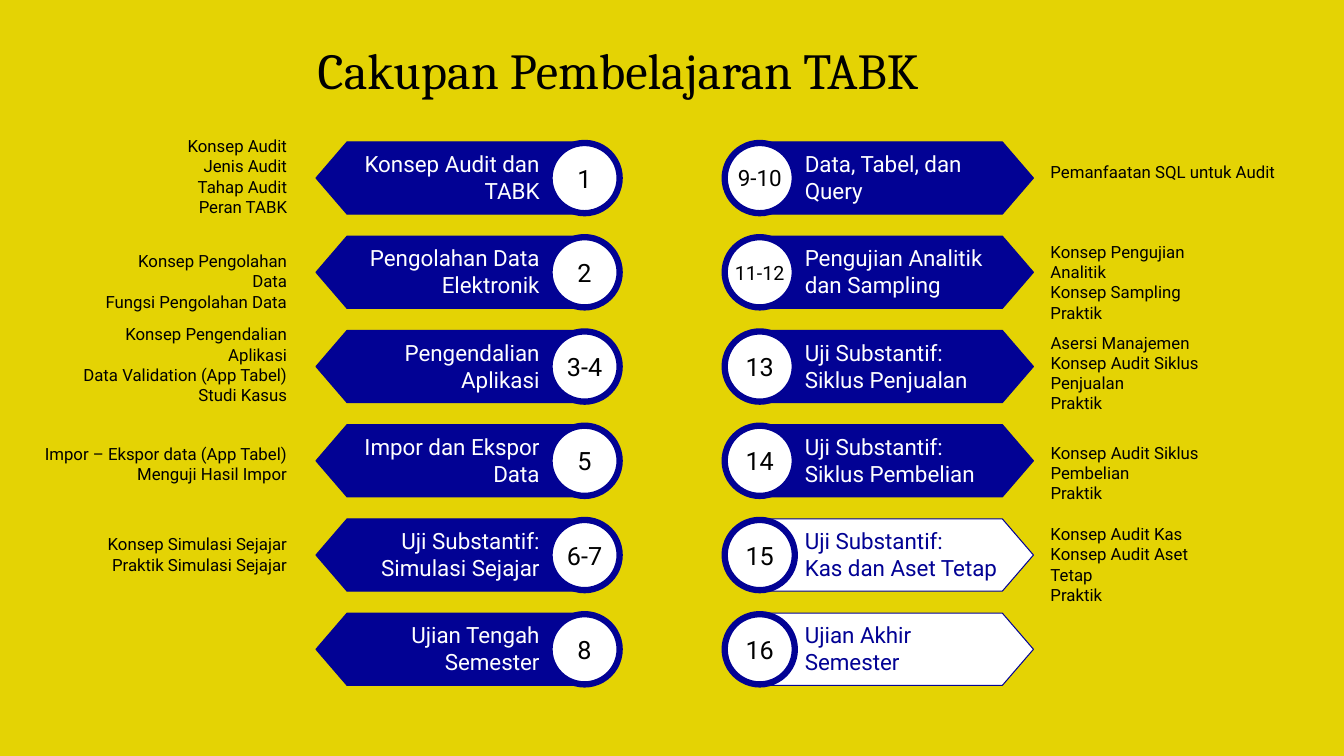
import pptx
import pptx.util
import pptx.dml.color
import pptx.enum.shapes
import pptx.enum.text

deck = pptx.Presentation()
deck.slide_width = pptx.util.Inches(13.33)
deck.slide_height = pptx.util.Inches(7.5)
cell = deck.slide_height / 90
slide = deck.slides.add_slide(deck.slide_layouts[5])

navy, white, black, gold = "020294", "FFFFFF", "000000", "E4D304"
kind = pptx.enum.shapes.MSO_SHAPE
align = pptx.enum.text.PP_ALIGN
anchor = pptx.enum.text.MSO_ANCHOR


def paint(part, color):
    if hasattr(part, "solid"):
        part.solid()
        part = part.fore_color
    part.rgb = pptx.dml.color.RGBColor.from_string(color)


def write(shape, lines, size, color, side, font="Roboto"):
    frame = shape.text_frame
    frame.word_wrap = True
    for n, line in enumerate(lines):
        para = frame.add_paragraph() if n else frame.paragraphs[0]
        para.alignment = side
        run = para.add_run()
        run.text = line
        run.font.name = font
        run.font.size = pptx.util.Pt(size)
        paint(run.font.color, color)


paint(slide.background.fill, gold)

title = slide.shapes.title
title.left, title.top, title.width, title.height = [
    round(n * cell) for n in (36.6, 4, 86.4, 8.5)]
title.text_frame.vertical_anchor = anchor.TOP
write(title, ["Cakupan Pembelajaran TABK"], 36, black, align.LEFT, "Cambria")

left = [
    ("1", 18, ["Konsep Audit dan TABK"], 15.6, 16,
     ["Konsep Audit", "Jenis Audit", "Tahap Audit", "Peran TABK"]),
    ("2", 18, ["Pengolahan Data Elektronik"], 29.3, 24.4,
     ["Konsep Pengolahan Data", "Fungsi Pengolahan Data"]),
    ("3-4", 18, ["Pengendalian Aplikasi"], 38, 28,
     ["Konsep Pengendalian Aplikasi", "Data Validation (App Tabel)", "Studi Kasus"]),
    ("5", 18, ["Impor dan Ekspor Data"], 52.2, 34.7,
     ["Impor – Ekspor data (App Tabel)", "Menguji Hasil Impor"]),
    ("6-7", 18, ["Uji Substantif:", "Simulasi Sejajar"], 63, 34.7,
     ["Konsep Simulasi Sejajar", "Praktik Simulasi Sejajar"]),
    ("8", 18, ["Ujian Tengah Semester"], 0, 0, []),
]
right = [
    ("9-10", 16, ["Data, Tabel, dan Query"], 18.7, 30,
     ["Pemanfaatan SQL untuk Audit"]),
    ("11-12", 14, ["Pengujian Analitik dan Sampling"], 28.2, 24.5,
     ["Konsep Pengujian Analitik", "Konsep Sampling", "Praktik"]),
    ("13", 18, ["Uji Substantif:", "Siklus Penjualan"], 39, 27,
     ["Asersi Manajemen", "Konsep Audit Siklus Penjualan", "Praktik"]),
    ("14", 18, ["Uji Substantif:", "Siklus Pembelian"], 52.1, 27,
     ["Konsep Audit Siklus Pembelian", "Praktik"]),
    ("15", 18, ["Uji Substantif:", "Kas dan Aset Tetap"], 61.8, 23,
     ["Konsep Audit Kas", "Konsep Audit Aset Tetap", "Praktik"]),
    ("16", 18, ["Ujian Akhir Semester"], 0, 0, []),
]
sides = [
    (left, align.RIGHT, 37.6, 65.4, 39.1, 35.35, 6),
    (right, align.LEFT, 86.9, 86.25, 94.6, 123.85, 4),
]

for weeks, side, bar_x, disc_x, name_x, note_x, done in sides:
    for row, (week, size, name, note_y, wide, notes) in enumerate(weeks):
        top = 16.9 + 11.22 * row
        fill, ink = (navy, white) if row < done else (white, navy)

        parts = []
        for form, x, y, w, h, tint, line in [
            (kind.HEXAGON, bar_x, top, 36.1, 8.6, fill, 0.75),
            (kind.OVAL, disc_x, top + 0.12, 8.35, 8.36, white, 4.5),
        ]:
            part = slide.shapes.add_shape(
                form, *[round(n * cell) for n in (x, y, w, h)])
            part.shadow.inherit = False
            paint(part.fill, tint)
            paint(part.line.fill, navy)
            part.line.width = pptx.util.Pt(line)
            parts.append(part)
        bar, disc = parts
        bar.adjustments[0] = 0.43

        write(disc, [week], size, black, align.CENTER)
        frame = disc.text_frame
        frame.word_wrap = False
        frame.vertical_anchor = anchor.MIDDLE
        frame.margin_left = frame.margin_right = 0

        label = slide.shapes.add_textbox(
            *[round(n * cell) for n in (name_x, top + 0.4, 26.3, 7.7)])
        write(label, name, 16, ink, side)

        if notes:
            x = note_x - wide if side == align.RIGHT else note_x
            box = slide.shapes.add_textbox(
                *[round(n * cell) for n in (x, note_y, wide, 2.4 * len(notes) + 1.2)])
            write(box, notes, 12, black, side)

deck.save("out.pptx")
